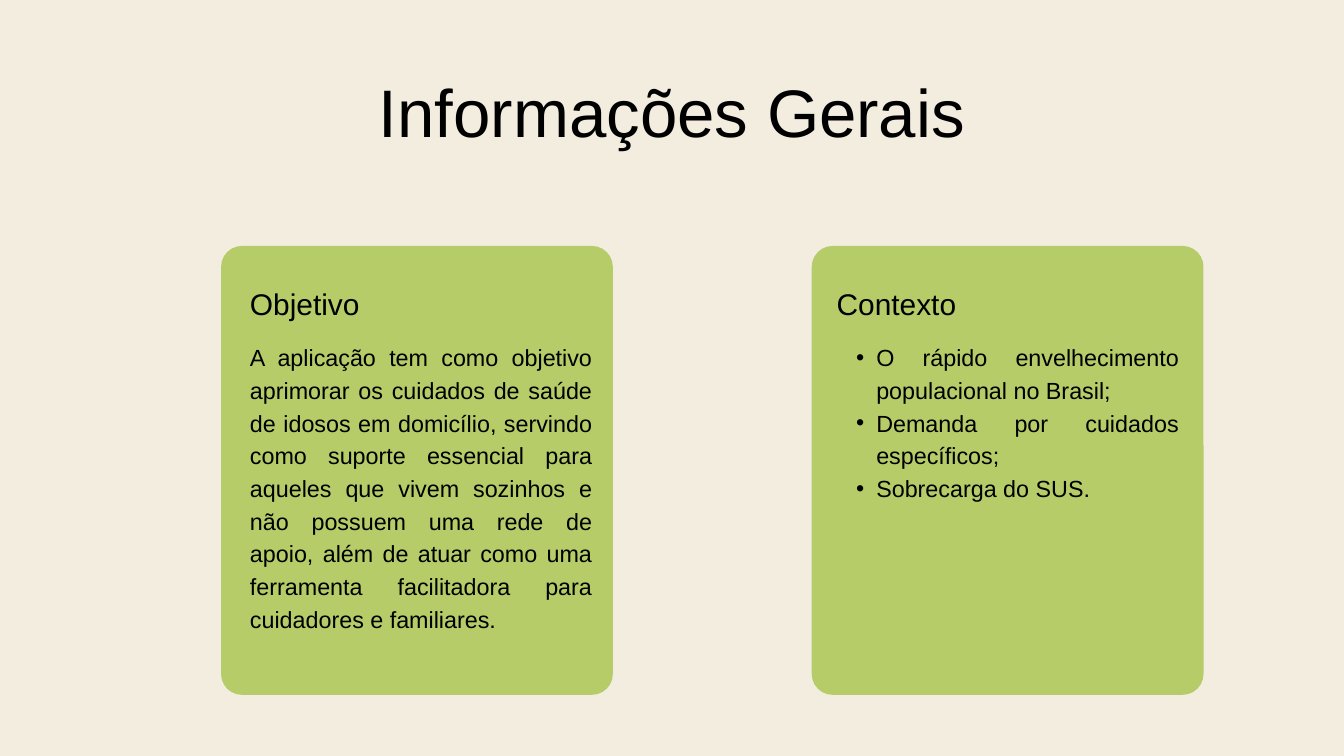
import pptx
import pptx.dml.color
import pptx.enum.shapes
import pptx.enum.text
import pptx.oxml.ns
import pptx.util
from lxml import etree
from pptx.util import Inches

FONT = "Arial"
BLACK, CREAM, GREEN = "000000", "F3EDE0", "B5CC68"
ALIGN = pptx.enum.text.PP_ALIGN

TITLE = "Informações Gerais"
CARDS = [
    {
        "left": 3.29, "text_left": 3.72, "heading": "Objetivo", "bulleted": False,
        "body_height": 4.37,
        "body": [
            "A aplicação tem como objetivo aprimorar os cuidados de saúde de idosos "
            "em domicílio, servindo como suporte essencial para aqueles que vivem "
            "sozinhos e não possuem uma rede de apoio, além de atuar como uma "
            "ferramenta facilitadora para cuidadores e familiares.",
        ],
    },
    {
        "left": 12.08, "text_left": 12.45, "heading": "Contexto", "bulleted": True,
        "body_height": 2.9,
        "body": [
            "O rápido envelhecimento populacional no Brasil;",
            "Demanda por cuidados específicos;",
            "Sobrecarga do SUS.",
        ],
    },
]
CARD_TOP, CARD_WIDTH, CARD_HEIGHT, CORNER = 3.66, 5.83, 6.68, 0.31


def paint(fill, color):
    fill.solid()
    fill.fore_color.rgb = pptx.dml.color.RGBColor.from_string(color)


def set_bullet(paragraph, bulleted):
    """Give the paragraph a hanging bullet, or clear the inherited one."""
    properties = paragraph._p.get_or_add_pPr()
    properties.set("marL", str(Inches(0.59 if bulleted else 0)))
    properties.set("indent", str(Inches(-0.3 if bulleted else 0)))
    tag = pptx.oxml.ns.qn("a:buChar" if bulleted else "a:buNone")
    bullet = etree.SubElement(properties, tag)
    if bulleted:
        bullet.set("char", "•")


def fill_placeholder(shape, box, lines, size, spacing, align, bulleted=False):
    shape.left, shape.top, shape.width, shape.height = map(Inches, box)
    frame = shape.text_frame
    frame.margin_left = frame.margin_top = frame.margin_right = frame.margin_bottom = 0
    frame.word_wrap = True
    frame.auto_size = pptx.enum.text.MSO_AUTO_SIZE.NONE
    frame.vertical_anchor = pptx.enum.text.MSO_ANCHOR.TOP
    frame.text = "\n".join(lines)
    for paragraph in frame.paragraphs:
        set_bullet(paragraph, bulleted)
        paragraph.level = 1 if bulleted else 0
        paragraph.alignment = align
        paragraph.line_spacing = pptx.util.Pt(spacing)
        paragraph.space_before = pptx.util.Pt(0)
        paragraph.font.name = FONT
        paragraph.font.size = pptx.util.Pt(size)
        paragraph.font.bold = False
        paragraph.font.color.rgb = pptx.dml.color.RGBColor.from_string(BLACK)


def add_card(slide, left):
    """Draw a rounded card behind the placeholders."""
    card = slide.shapes.add_shape(
        pptx.enum.shapes.MSO_SHAPE.ROUNDED_RECTANGLE,
        Inches(left), Inches(CARD_TOP), Inches(CARD_WIDTH), Inches(CARD_HEIGHT))
    card.adjustments[0] = CORNER / CARD_WIDTH
    card.shadow.inherit = False
    paint(card.fill, GREEN)
    card.line.fill.background()
    slide.shapes.title.element.addprevious(card.element)


def main():
    presentation = pptx.Presentation()
    presentation.slide_width, presentation.slide_height = Inches(20), Inches(11.25)
    comparison_layout = presentation.slide_layouts[4]
    slide = presentation.slides.add_slide(comparison_layout)
    paint(slide.background.fill, CREAM)

    title, *text_placeholders = slide.placeholders
    fill_placeholder(title, (5, 0.85, 10, 1.34), [TITLE], 72, 100.8, ALIGN.CENTER)

    pairs = zip(text_placeholders[::2], text_placeholders[1::2])
    for card, (heading, body) in zip(CARDS, pairs):
        add_card(slide, card["left"])
        fill_placeholder(heading, (card["text_left"], 4.16, 3.57, 0.58),
                         [card["heading"]], 32, 44.8, ALIGN.LEFT)
        fill_placeholder(body, (card["text_left"], 5.04, 5.09, card["body_height"]),
                         card["body"], 25, 35, ALIGN.JUSTIFY, card["bulleted"])

    presentation.save("out.pptx")


if __name__ == "__main__":
    main()
